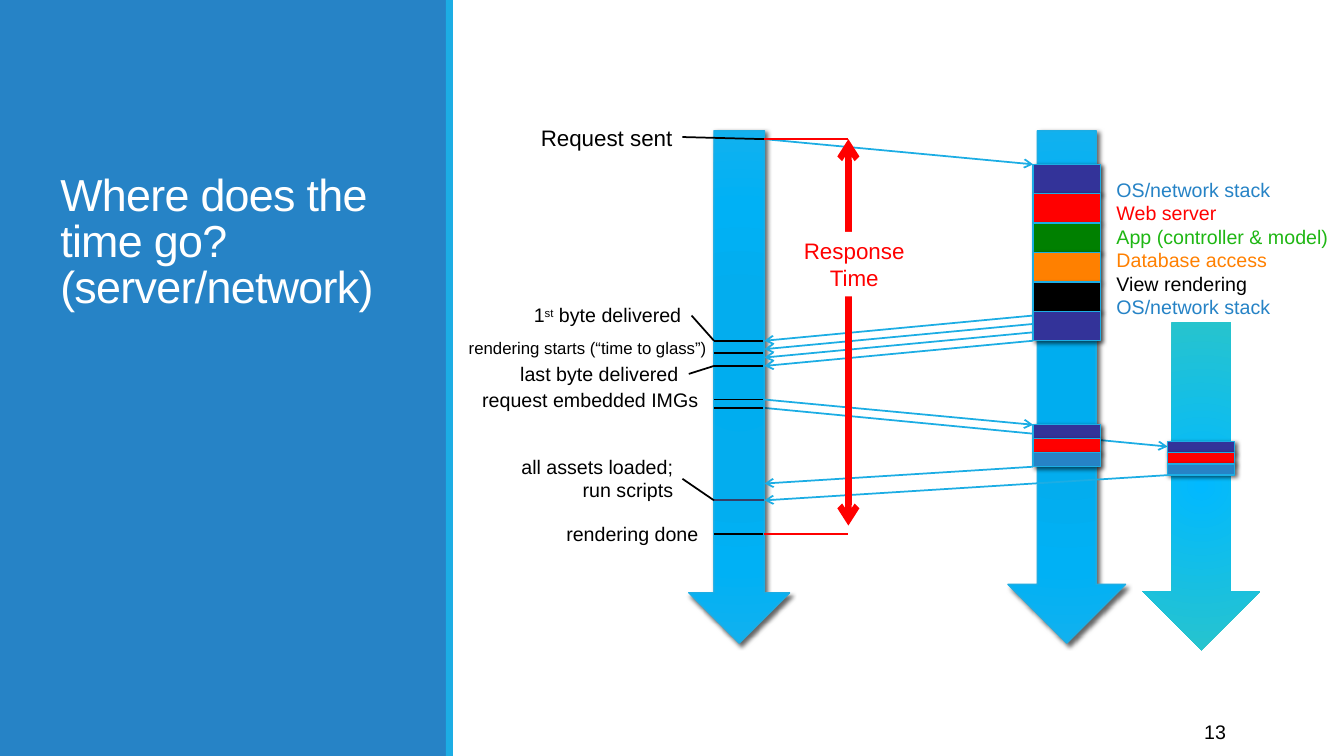
from dataclasses import dataclass

from lxml.etree import SubElement as Sub
from pptx import Presentation
from pptx.dml.color import RGBColor
from pptx.enum.shapes import MSO_CONNECTOR as Link, MSO_SHAPE as Form
from pptx.enum.text import MSO_ANCHOR as Anchor, PP_ALIGN as Align
from pptx.oxml import parse_xml
from pptx.oxml.ns import nsdecls, qn
from pptx.util import Pt


@dataclass(frozen=True)
class Theme:
    font: str = "Arial"
    title: int = 32
    large: int = 16
    body: int = 14
    small: int = 12
    thin: float = 1.25
    edge: float = 1
    thick: float = 4.5
    white: str = "FFFFFF"
    black: str = "000000"
    blue: str = "2683C6"
    sky: str = "1CADE4"
    navy: str = "333399"
    slate: str = "344068"
    red: str = "FF0000"
    green: str = "008000"
    lime: str = "1FB714"
    orange: str = "FF8000"
    main: tuple = ((0, "00ADEF"), (34, "03ADEE"), (70, "00B1F5"), (100, "12B1EE"))
    extra: tuple = ((0, "01B9FF"), (99, "28C4CC"), (100, "B0DDFF"))


T = Theme()
LEFT, RIGHT, SERVER, ASSET = 510, 546, 738, 834
SENT, DONE, SPAN = 99.4, 381.4, 606


def rgb(code):
    return RGBColor.from_string(code)


def put(item, values):
    for name, value in values.items():
        setattr(item, name, value)


def shade(shape):
    shape.shadow.inherit = False
    effects = shape._element.spPr.find(qn("a:effectLst"))
    outer = Sub(effects, qn("a:outerShdw"), blurRad=str(Pt(3)), dist=str(Pt(2)), dir="2700000")
    color = Sub(outer, qn("a:srgbClr"), val=T.black)
    Sub(color, qn("a:alpha"), val="60000")


def blend(shape, stops):
    shape.fill.background()
    marks = "".join(
        f'<a:gs pos="{pos * 1000}"><a:srgbClr val="{code}"/></a:gs>' for pos, code in stops
    )
    grad = parse_xml(
        f'<a:gradFill {nsdecls("a")} rotWithShape="1"><a:gsLst>{marks}</a:gsLst>'
        '<a:path path="circle"><a:fillToRect l="50000" t="50000" r="50000" b="50000"/>'
        "</a:path></a:gradFill>"
    )
    props = shape._element.spPr
    props.replace(props.find(qn("a:noFill")), grad)


def panel(shapes, area, color, form=Form.RECTANGLE, edge=True):
    shape = shapes.add_shape(form, *map(Pt, area))
    if isinstance(color, str):
        shape.fill.solid()
        shape.fill.fore_color.rgb = rgb(color)
    else:
        blend(shape, color)
    if edge:
        shape.line.color.rgb = rgb(T.sky)
        shape.line.width = Pt(T.edge)
        shade(shape)
    else:
        shape.line.fill.background()
        shape.shadow.inherit = False
    return shape


def stack(shapes, left, top, high, colors):
    group = shapes.add_group_shape()
    for row, color in enumerate(colors):
        panel(group.shapes, (left, top + row * high, 48, high), color)


def line(shapes, ends, color=T.black, width=T.thin, heads=()):
    link = shapes.add_connector(Link.STRAIGHT, *map(Pt, ends))
    link.line.color.rgb = rgb(color)
    link.line.width = Pt(width)
    for head in heads:
        Sub(link.line._ln, qn(head), type="arrow")
    Sub(link._element.spPr, qn("a:effectLst"))


def flow(shapes, *ends):
    line(shapes, ends, T.sky, heads=["a:tailEnd"])


def text(shapes, area, rows, size=T.body, color=T.black, align=Align.RIGHT,
         anchor=Anchor.TOP, wrap=True):
    box = shapes.add_textbox(*map(Pt, area))
    frame = box.text_frame
    put(frame, {"word_wrap": wrap, "vertical_anchor": anchor})
    for index, row in enumerate(rows):
        para = frame.paragraphs[0] if index == 0 else frame.add_paragraph()
        words, tint = row if isinstance(row, tuple) else (row, color)
        para.text = words
        para.alignment = align
        for run in para.runs:
            put(run.font, {"name": T.font, "size": Pt(size)})
            run.font.color.rgb = rgb(tint)
    return box


def heading(shapes):
    box = text(shapes, (36, 46.8, 252, 180), ["Where does the time go?\v(server/network)"],
               T.title, T.white, Align.LEFT, Anchor.BOTTOM)
    para = box.text_frame.paragraphs[0]
    para.line_spacing = 0.85
    for run in para.runs:
        run.font._element.set("spc", "-50")


def first(shapes):
    box = text(shapes, (354, 213.1, 139.8, 24.2), ["1"])
    para = box.text_frame.paragraphs[0]
    for words, rise in (("st", "30000"), (" byte delivered", "0")):
        run = para.add_run()
        run.text = words
        put(run.font, {"name": T.font, "size": Pt(T.body)})
        run.font.color.rgb = rgb(T.black)
        run.font._element.set("baseline", rise)


def legend(shapes):
    rows = [
        ("OS/network stack", T.blue),
        ("Web server", T.red),
        ("App (controller & model)", T.lime),
        ("Database access", T.orange),
        ("View rendering", T.black),
        ("OS/network stack", T.blue),
    ]
    text(shapes, (790.4, 123.4, 169.4, 108.7), rows, align=Align.LEFT)


def labels(shapes):
    text(shapes, (378, 85, 109.4, 26.6), ["Request sent"], T.large)
    first(shapes)
    text(shapes, (277.9, 237.6, 234, 21.6), ["rendering starts (“time to glass”)"], T.small)
    for area, rows in (
        ((352, 254.9, 139.8, 24.2), ["last byte delivered"]),
        ((336, 273.6, 170, 24.2), ["request embedded IMGs"]),
        ((318, 321.3, 170, 41.2), ["all assets loaded;", "run scripts"]),
        ((336, 369.4, 170, 24.2), ["rendering done"]),
    ):
        text(shapes, area, rows)


def ticks(shapes):
    for y in (243.4, 252, 261.4, 285.4, 291.4, DONE):
        line(shapes, (LEFT, y, RIGHT - 1, y))
    line(shapes, (LEFT, 357.4, RIGHT, 357.4), T.slate)
    for ends in (
        (RIGHT, SENT, 487.5, 97.9),
        (LEFT, 243.4, 494, 225.4),
        (LEFT, 261.4, 492, 267.1),
        (487.5, 342, LEFT, 357.4),
    ):
        line(shapes, ends)


def span(shapes):
    group = shapes.add_group_shape().shapes
    for y in (SENT, DONE):
        line(group, (RIGHT, y, SPAN, y), T.red)
    line(group, (SPAN, SENT, SPAN, 375.4), T.red, T.thick, ["a:headEnd", "a:tailEnd"])
    box = text(group, (566.6, 165.6, 87.1, 46.1), ["Response", "Time"], T.large, T.red,
               Align.CENTER, wrap=False)
    box.fill.solid()
    box.fill.fore_color.rgb = rgb(T.white)


def main():
    deck = Presentation()
    put(deck, {"slide_width": Pt(960), "slide_height": Pt(540)})
    shapes = deck.slides.add_slide(deck.slide_layouts[6]).shapes
    panel(shapes, (0, 0, 319, 540), T.blue, edge=False)
    panel(shapes, (318.5, 0, 5, 540), T.sky, edge=False)
    flow(shapes, RIGHT, 291.4, ASSET, 319)
    panel(shapes, (816, 230.4, 84, 234), T.extra, Form.DOWN_ARROW, False)
    heading(shapes)
    text(shapes, (779.8, 508.3, 103, 28.8), ["13"], anchor=Anchor.MIDDLE)
    for left, wide in ((492, 72), (720, 84)):
        panel(shapes, (left, 93.4, wide, 366), T.main, Form.DOWN_ARROW)
    flow(shapes, RIGHT, SENT, SERVER, 117.4)
    for step in range(4):
        y = 225.4 + 6 * step
        flow(shapes, SERVER, y, RIGHT, y + 18)
    legend(shapes)
    stack(shapes, SERVER, 117.4, 21, [T.navy, T.red, T.green, T.orange, T.black, T.navy])
    flow(shapes, RIGHT, 285.4, SERVER, 303.4)
    for left, top, high in ((SERVER, 303.4, 10), (ASSET, 315.4, 8)):
        stack(shapes, left, top, high, [T.navy, T.red, T.blue])
    flow(shapes, SERVER, 333.4, RIGHT, 345.4)
    flow(shapes, ASSET, 339.4, RIGHT, 357.4)
    ticks(shapes)
    labels(shapes)
    span(shapes)
    deck.save("out.pptx")


if __name__ == "__main__":
    main()
